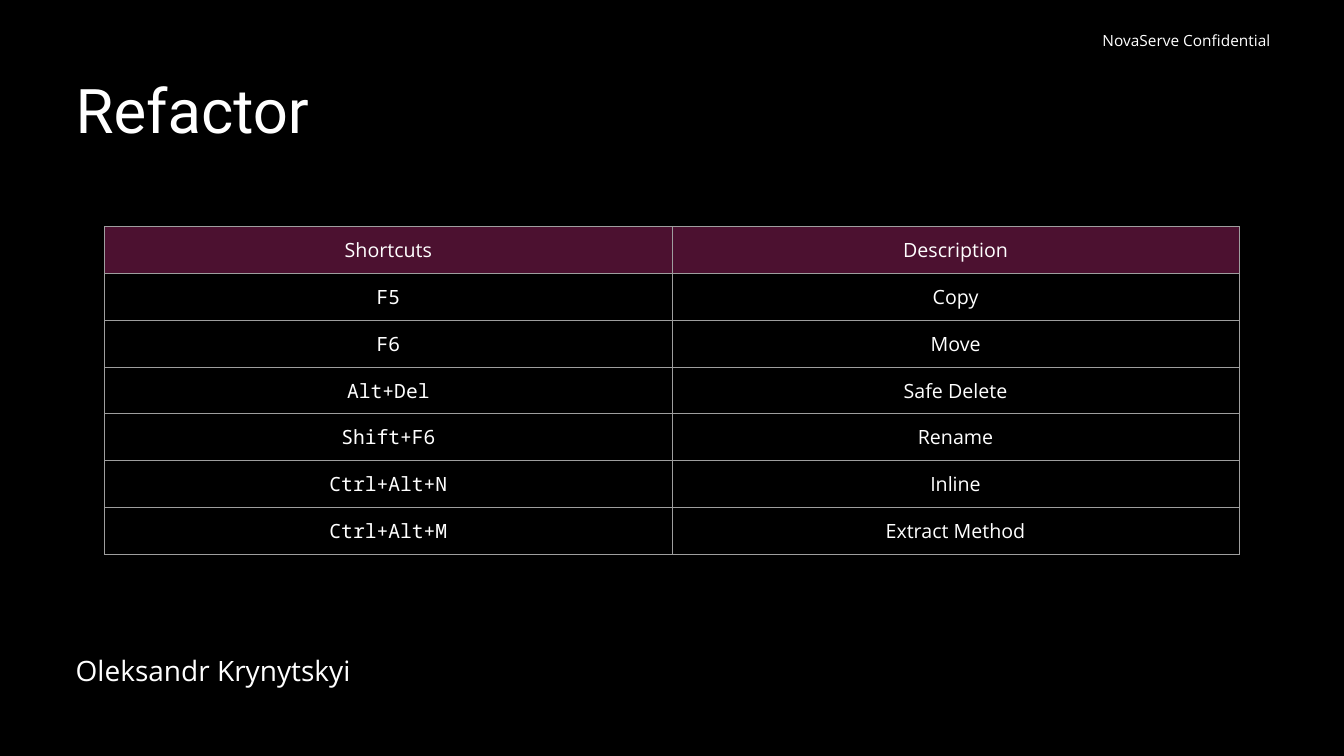
from lxml.etree import SubElement
from pptx import Presentation
from pptx.dml.color import RGBColor
from pptx.enum.text import MSO_ANCHOR, PP_ALIGN
from pptx.oxml.ns import qn
from pptx.util import Inches, Pt

BLACK = RGBColor(0x00, 0x00, 0x00)
WHITE = RGBColor(0xFF, 0xFF, 0xFF)
MAROON = RGBColor(0x4C, 0x11, 0x30)
GREY = RGBColor(0x9E, 0x9E, 0x9E)

SHORTCUTS = [
    ("Shortcuts", "Description"),
    ("F5", "Copy"),
    ("F6", "Move"),
    ("Alt+Del", "Safe Delete"),
    ("Shift+F6", "Rename"),
    ("Ctrl+Alt+N", "Inline"),
    ("Ctrl+Alt+M", "Extract Method"),
]


def write_text(frame, text, font_name, size, align=PP_ALIGN.LEFT):
    frame.text = text
    para = frame.paragraphs[0]
    para.alignment = align
    para.font.name = font_name
    para.font.size = Pt(size)
    para.font.color.rgb = WHITE
    return para


def add_borders(cell):
    """Draw a thin grey line on all four sides; call before filling the cell."""
    properties = cell._tc.get_or_add_tcPr()
    for side in ("a:lnL", "a:lnR", "a:lnT", "a:lnB"):
        line = SubElement(properties, qn(side), w=str(Pt(0.75)))
        fill = SubElement(line, qn("a:solidFill"))
        SubElement(fill, qn("a:srgbClr"), val=str(GREY))


deck = Presentation()
deck.slide_width = Inches(13.33)
deck.slide_height = Inches(7.5)
page = deck.slides.add_slide(deck.slide_layouts[5])
page.background.fill.solid()
page.background.fill.fore_color.rgb = BLACK

# Title
title = page.shapes.title
title.left, title.top = Inches(0.75), Inches(0.75)
title.width, title.height = Inches(11.83), Inches(0.75)
title.text_frame.margin_left = 0
title.text_frame.vertical_anchor = MSO_ANCHOR.MIDDLE
write_text(title.text_frame, "Refactor", "Roboto", 44).line_spacing = 0.9

# Confidentiality note and author
note = page.shapes.add_textbox(Inches(10.38), Inches(0.26), Inches(2.32), Inches(0.29))
note.text_frame.word_wrap = True
write_text(note.text_frame, "NovaServe Confidential", "Open Sans", 11, PP_ALIGN.RIGHT)

author = page.shapes.add_textbox(Inches(0.75), Inches(6.47), Inches(3.79), Inches(0.32))
author.text_frame.word_wrap = True
author.text_frame.margin_left = 0
write_text(author.text_frame, "Oleksandr Krynytskyi", "Open Sans", 20).line_spacing = 0.9

# Shortcut table
table = page.shapes.add_table(
    len(SHORTCUTS), 2, Inches(1.04), Inches(2.25), Inches(11.25), Inches(3.25)
).table
table.horz_banding = False
for row_index, row in enumerate(SHORTCUTS):
    for column_index, text in enumerate(row):
        is_header = row_index == 0
        is_key = column_index == 0 and not is_header
        cell = table.cell(row_index, column_index)
        cell.vertical_anchor = MSO_ANCHOR.MIDDLE
        add_borders(cell)
        if is_header:
            cell.fill.solid()
            cell.fill.fore_color.rgb = MAROON
        else:
            cell.fill.background()
        font_name = "Noto Sans Mono" if is_key else "Open Sans"
        para = write_text(cell.text_frame, text, font_name, 14, PP_ALIGN.CENTER)
        para.font.bold = False

deck.save("out.pptx")
